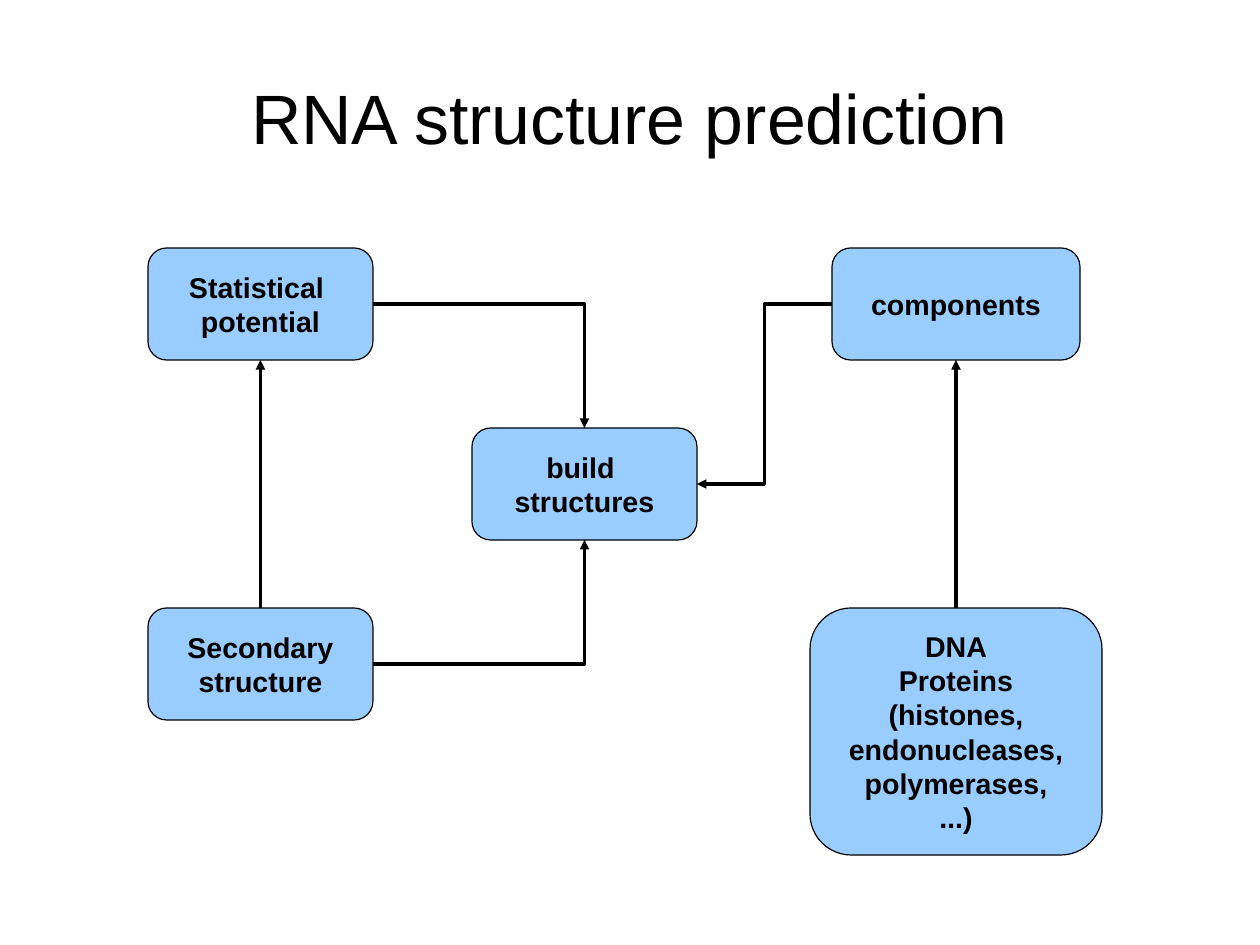
from dataclasses import dataclass

from pptx import Presentation
from pptx.dml.color import RGBColor
from pptx.enum.shapes import MSO_CONNECTOR as Route, MSO_SHAPE as Preset
from pptx.enum.text import MSO_ANCHOR as Anchor, PP_ALIGN as Align
from pptx.oxml.ns import qn
from pptx.oxml.xmlchemy import OxmlElement
from pptx.util import Pt

EMU_PER_PIXEL = 8000
TOP, LEFT, BOTTOM, RIGHT = range(4)  # connection sites of a rounded box


@dataclass(frozen=True)
class Theme:
    """Colours, font and type sizes of the slide."""
    ink: RGBColor = RGBColor(0x00, 0x00, 0x00)
    box_fill: RGBColor = RGBColor(0x99, 0xCC, 0xFF)
    font: str = "Arial"
    title_size: int = 44
    box_size: int = 18
    hairline: int = 0


def px(*lengths):
    """Turn pixel lengths into EMU."""
    return [length * EMU_PER_PIXEL for length in lengths]


class Diagram:
    """Draws flow chart elements on one slide in one style."""

    def __init__(self, page, theme):
        """Keep the slide and its style."""
        self.page = page
        self.theme = theme

    def label(self, shape, text, size, bold=False):
        """Fill a shape with centred lines of text."""
        frame = shape.text_frame
        frame.word_wrap = True
        frame.vertical_anchor = Anchor.MIDDLE
        frame.text = text
        for para in frame.paragraphs:
            para.alignment = Align.CENTER
            para.font.name = self.theme.font
            para.font.size = Pt(size)
            para.font.bold = bold
            para.font.color.rgb = self.theme.ink

    def outline(self, line):
        """Give a line the hairline style."""
        line.color.rgb = self.theme.ink
        line.width = Pt(self.theme.hairline)

    def title(self, text, left, top, width, height):
        """Add the slide heading."""
        heading = self.page.shapes.add_textbox(*px(left, top, width, height))
        self.label(heading, text, self.theme.title_size)

    def box(self, text, left, top, width=225, height=112):
        """Add a rounded box with bold text."""
        box = self.page.shapes.add_shape(
            Preset.ROUNDED_RECTANGLE, *px(left, top, width, height))
        box.shadow.inherit = False
        box.fill.solid()
        box.fill.fore_color.rgb = self.theme.box_fill
        self.outline(box.line)
        self.label(box, text, self.theme.box_size, bold=True)
        return box

    def arrow(self, source, exit_site, target, entry_site, route=Route.ELBOW):
        """Join two boxes with an arrow glued to their connection sites."""
        arrow = self.page.shapes.add_connector(route, 0, 0, 0, 0)
        arrow.begin_connect(source, exit_site)
        arrow.end_connect(target, entry_site)
        self.outline(arrow.line)
        properties = arrow.element.spPr
        if route == Route.ELBOW and entry_site in (TOP, BOTTOM):
            properties.find(qn("a:prstGeom")).set("prst", "bentConnector2")
        head = OxmlElement("a:tailEnd")
        head.set("type", "triangle")
        properties.find(qn("a:ln")).append(head)
        properties.append(OxmlElement("a:effectLst"))


def main():
    """Build the slide and save it."""
    deck = Presentation()
    deck.slide_width, deck.slide_height = px(1260, 945)
    page = deck.slides.add_slide(deck.slide_layouts[6])
    diagram = Diagram(page, Theme())

    diagram.title("RNA structure prediction", 63, 38, 1134, 158)

    left_column, upper_row, row_step = 148, 248, 180
    middle_row, lower_row = upper_row + row_step, upper_row + 2 * row_step
    build = diagram.box("build \nstructures", 472, middle_row)
    components = diagram.box("components", 832, upper_row, width=248)
    secondary = diagram.box("Secondary\nstructure", left_column, lower_row)
    potential = diagram.box("Statistical \npotential", left_column, upper_row)
    molecules = diagram.box(
        "DNA\nProteins\n(histones,\nendonucleases,\npolymerases,\n...)",
        810, lower_row, width=292, height=247)

    diagram.arrow(molecules, TOP, components, BOTTOM, Route.STRAIGHT)
    diagram.arrow(secondary, TOP, potential, BOTTOM, Route.STRAIGHT)
    diagram.arrow(secondary, RIGHT, build, BOTTOM)
    diagram.arrow(components, LEFT, build, RIGHT)
    diagram.arrow(potential, RIGHT, build, TOP)

    deck.save("out.pptx")


main()
